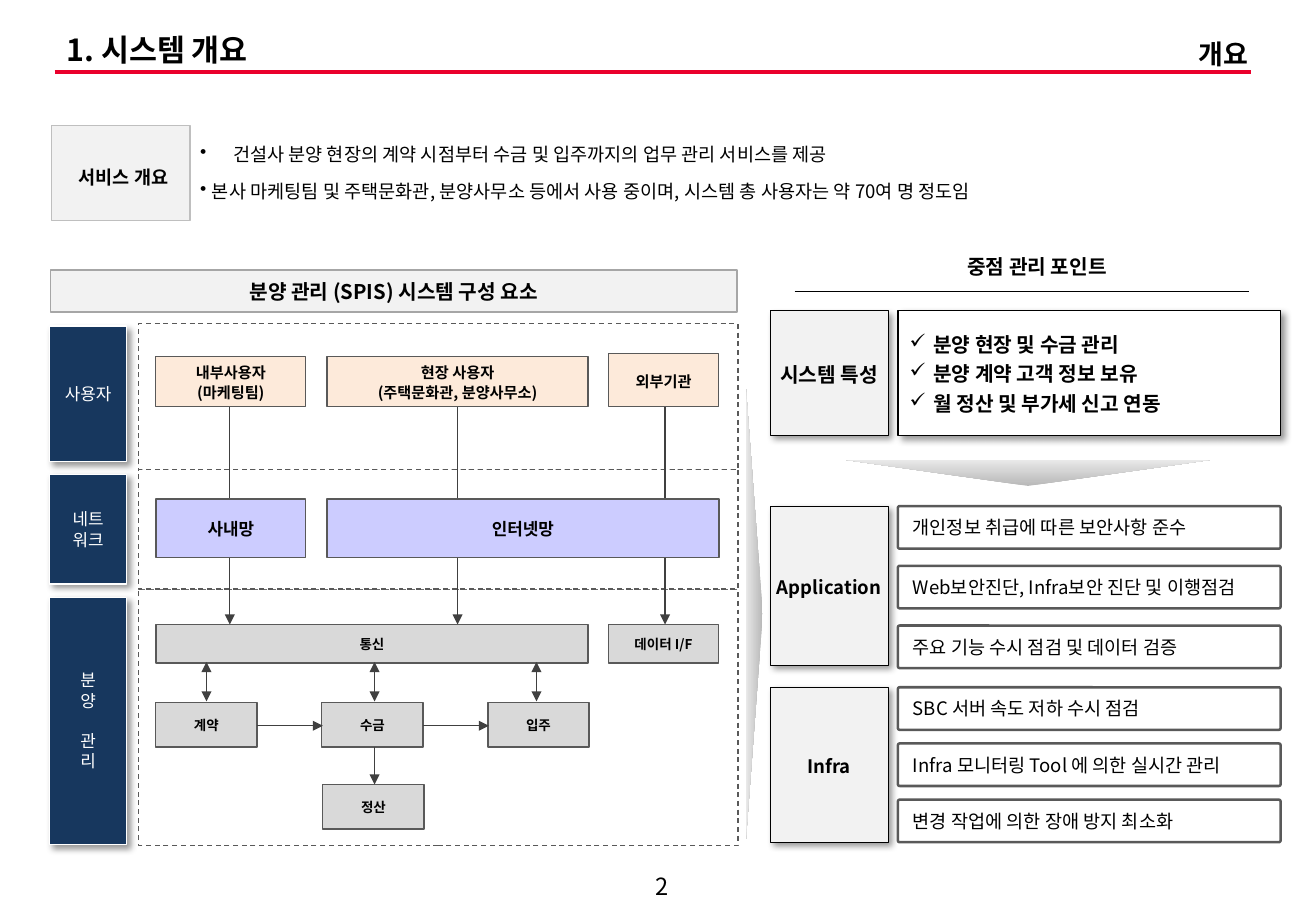
from lxml import etree
from pptx import Presentation
from pptx.dml.color import RGBColor
from pptx.enum.dml import MSO_LINE
from pptx.enum.shapes import MSO_CONNECTOR, MSO_SHAPE
from pptx.enum.text import MSO_ANCHOR, PP_ALIGN
from pptx.oxml.ns import qn
from pptx.util import Inches, Pt

RECTANGLE = MSO_SHAPE.RECTANGLE
ROUNDED = MSO_SHAPE.ROUNDED_RECTANGLE
TRIANGLE = MSO_SHAPE.ISOSCELES_TRIANGLE
STRAIGHT = MSO_CONNECTOR.STRAIGHT
DASH = MSO_LINE.DASH
MIDDLE, TOP = MSO_ANCHOR.MIDDLE, MSO_ANCHOR.TOP
LEFT, CENTER, RIGHT = PP_ALIGN.LEFT, PP_ALIGN.CENTER, PP_ALIGN.RIGHT

FONT = "Noto Sans CJK KR"
COLUMNS, ROWS = 130, 90
COLORS = {
    "black": "000000", "white": "FFFFFF", "red": "EA002C", "navy": "17375E",
    "panel": "F2F2F2", "panel_edge": "A6A6A6", "service_edge": "BFBFBF",
    "module": "D9D9D9", "user": "FDEADA", "network": "CCCCFF",
    "edge": "595959", "arrow": "404040", "fade_dark": "B8B8B8", "fade_light": "E9E9E9",
}


def color(name):
    return RGBColor.from_string(COLORS[name])


def write_text(shape, text, size=11, bold=False, ink="black", align=CENTER, anchor=MIDDLE,
               insets=(0, 4, 0, 4), wrap=True, spacing=None, after=0, gaps=None,
               bullet=None, indents=(0,)):
    """Fill a shape with one paragraph per line; gaps maps a line index to its space before."""
    frame = shape.text_frame
    frame.word_wrap = wrap
    frame.vertical_anchor = anchor
    frame.margin_left, frame.margin_top, frame.margin_right, frame.margin_bottom = map(Pt, insets)
    for index, line in enumerate(text.split("\n")):
        paragraph = frame.paragraphs[0] if index == 0 else frame.add_paragraph()
        if bullet:
            properties = paragraph._p.get_or_add_pPr()
            indent = Pt(indents[index % len(indents)])
            properties.set("marL", str(indent))
            properties.set("indent", str(-indent))
            etree.SubElement(properties, qn("a:buChar"), char=bullet)
        paragraph.alignment = align
        if spacing:
            paragraph.line_spacing = spacing[index % len(spacing)]
        if after:
            paragraph.space_after = Pt(after)
        if gaps and index in gaps:
            paragraph.space_before = Pt(gaps[index])
        run = paragraph.add_run()
        run.text = line
        run.font.size, run.font.bold, run.font.name = Pt(size), bold, FONT
        run.font.color.rgb = color(ink)
        etree.SubElement(run._r.get_or_add_rPr(), qn("a:ea"), typeface=FONT)


class SlideBuilder:
    """Places elements on a grid of COLUMNS by ROWS."""

    def __init__(self, presentation):
        self.column = presentation.slide_width / COLUMNS
        self.row = presentation.slide_height / ROWS
        self.slide = presentation.slides.add_slide(presentation.slide_layouts[6])

    def place(self, left, top, width, height):
        return (round(left * self.column), round(top * self.row),
                round(width * self.column), round(height * self.row))

    def text(self, area, text, **text_format):
        write_text(self.slide.shapes.add_textbox(*self.place(*area)), text, **text_format)

    def box(self, area, text="", kind=RECTANGLE, fill="white", edge="edge", weight=0.75,
            dash=None, shadow=False, **text_format):
        shape = self.slide.shapes.add_shape(kind, *self.place(*area))
        if kind == ROUNDED:
            shape.adjustments[0] = 0.04
        shape.fill.solid()
        shape.fill.fore_color.rgb = color(fill)
        if edge:
            shape.line.color.rgb = color(edge)
            shape.line.width = Pt(weight)
        else:
            shape.line.fill.background()
        if dash:
            shape.line.dash_style = dash
        shape.shadow.inherit = False
        if shadow:
            self.drop_shadow(shape)
        if text:
            write_text(shape, text, **text_format)

    def drop_shadow(self, shape):
        effects = shape.element.spPr.find(qn("a:effectLst"))
        outer = etree.SubElement(effects, qn("a:outerShdw"), blurRad=str(Pt(4)), dist=str(Pt(3)),
                                 dir="2700000", algn="tl", rotWithShape="0")
        tone = etree.SubElement(outer, qn("a:srgbClr"), val=COLORS["black"])
        etree.SubElement(tone, qn("a:alpha"), val="40000")

    def wedge(self, area, rotation):
        shape = self.slide.shapes.add_shape(TRIANGLE, *self.place(*area))
        shape.rotation = rotation
        shape.fill.gradient()
        shape.fill.gradient_angle = 270
        for stop, name in zip(shape.fill.gradient_stops, ("fade_dark", "fade_light")):
            stop.color.rgb = color(name)
        shape.line.fill.background()
        shape.shadow.inherit = False

    def line(self, start, end, ink="arrow", weight=0.75, arrows=()):
        connector = self.slide.shapes.add_connector(
            STRAIGHT, *self.place(*start, *end))
        connector.line.color.rgb = color(ink)
        connector.line.width = Pt(weight)
        properties = connector.element.spPr
        for arrow in arrows:
            etree.SubElement(properties.find(qn("a:ln")), qn(f"a:{arrow}"), type="triangle")
        etree.SubElement(properties, qn("a:effectLst"))


def add_header(builder):
    builder.line((5.4, 7.1), (123.6, 7.1), ink="red", weight=2.25)
    builder.text((5.4, 2.9, 96.4, 4.4), "1. 시스템 개요", size=18, bold=True, align=LEFT,
                 insets=(7, 4, 7, 4), spacing=(0.9,))
    builder.text((109.4, 3, 15.1, 4.4), "개요", size=16, bold=True, align=RIGHT,
                 anchor=TOP, insets=(7, 4, 7, 4))
    builder.text((61.2, 85.7, 8.5, 3.7), "2", size=14)


def add_service(builder):
    builder.box((5.1, 12.4, 13.7, 9.4), "서비스 개요", fill="panel", edge="service_edge", weight=1,
                bold=True, wrap=False, insets=(10, 4, 7, 4), spacing=(1.35,))
    builder.text((18.6, 13.2, 108.5, 7.4),
                 "건설사 분양 현장의 계약 시점부터 수금 및 입주까지의 업무 관리 서비스를 제공\n"
                 "본사 마케팅팀 및 주택문화관, 분양사무소 등에서 사용 중이며, "
                 "시스템 총 사용자는 약 70여 명 정도임",
                 align=LEFT, anchor=TOP, insets=(7, 4, 7, 4), after=3, bullet="•",
                 indents=(19.5, 7), spacing=(Pt(15), Pt(18.7)))


def add_diagram(builder):
    builder.box((5, 26.7, 67.8, 4.1), "분양 관리 (SPIS) 시스템 구성 요소", fill="panel",
                edge="panel_edge", weight=1, size=12, bold=True, wrap=False)
    for top, height in ((58.2, 25.3), (46.4, 11.8), (32, 14.4)):
        builder.box((13.7, top, 59.2, height), dash=DASH)
    for top, height, label in ((32.2, 13.4, "사용자"), (46.9, 10.8, "네트\n워크"),
                               (59, 24.4, "분\n양\n관\n리")):
        builder.box((4.9, top, 7.6, height), label, fill="navy", edge="white", shadow=True,
                    size=10, ink="white", insets=(3, 4, 3, 4), spacing=(Pt(12),), gaps={2: 12})

    inside, site, outside = 15.4, 32.3, 60.1
    for column in (22.7, 45.2, 65.7):
        builder.line((column, 40.2), (column, 61.7), arrows=("tailEnd",))
    for area, label in (((inside, 35.2, 14.8, 5), "내부사용자\n(마케팅팀)"),
                        ((site, 35.2, 25.8, 5), "현장 사용자\n(주택문화관, 분양사무소)"),
                        ((outside, 34.9, 10.9, 5.3), "외부기관")):
        builder.box(area, label, fill="user", size=9, bold=True, spacing=(Pt(12),))
    for left, width, label in ((inside, 14.8, "사내망"), (site, 38.7, "인터넷망")):
        builder.box((left, 49.3, width, 5.8), label, fill="network", weight=1, size=10, bold=True)

    for area, label in (((inside, 61.7, 42.7, 3.8), "통신"),
                        ((outside, 61.7, 10.9, 3.8), "데이터 I/F"),
                        ((inside, 69.4, 10, 4.4), "계약"),
                        ((31.8, 69.4, 10, 4.4), "수금"),
                        ((48.2, 69.4, 10, 4.4), "입주"),
                        ((31.9, 77.5, 10, 4.4), "정산")):
        builder.box(area, label, fill="module", size=8, bold=True)
    for column in (20.4, 37, 53):
        builder.line((column, 65.4), (column, 69.3), arrows=("headEnd", "tailEnd"))
    for left in (25.4, 41.8):
        builder.line((left, 71.7), (left + 6.5, 71.7), arrows=("tailEnd",))
    builder.line((37, 73.8), (37, 77.5), arrows=("tailEnd",))


def add_points(builder):
    builder.wedge((51.7, 59.8, 45.6, 1.7), 90)
    builder.wedge((83.3, 45.4, 36.5, 2.6), 180)
    builder.box((81.5, 23.8, 41.9, 5), "중점 관리 포인트", edge=None, size=12, bold=True)
    builder.line((78.5, 28.8), (123.4, 28.8), ink="black")
    for top, height, label, size in ((30.7, 12.3, "시스템 특성", 12), (50, 15.7, "Application", 11),
                                     (67.9, 15.3, "Infra", 11)):
        builder.box((76.1, top, 11.6, height), label, fill="panel", edge="black", weight=0.25,
                    shadow=True, size=size, bold=True, wrap=False, spacing=(1.1,))
    builder.box((88.7, 30.7, 37.8, 12.3),
                "분양 현장 및 수금 관리\n분양 계약 고객 정보 보유\n월 정산 및 부가세 신고 연동",
                edge="black", shadow=True, size=12, bold=True, align=LEFT, insets=(7, 4, 7, 6),
                bullet="✓", indents=(14,), spacing=(Pt(17.5),))
    duties = (
        (50, 5.9, ("개인정보 취급에 따른 보안사항 준수", "Web보안진단, Infra보안 진단 및 이행점검",
                   "주요 기능 수시 점검 및 데이터 검증")),
        (67.9, 5.55, ("SBC 서버 속도 저하 수시 점검", "Infra 모니터링 Tool 에 의한 실시간 관리",
                      "변경 작업에 의한 장애 방지 최소화")),
    )
    for top, pitch, labels in duties:
        for index, label in enumerate(labels):
            builder.box((88.7, top + index * pitch, 37.8, 4.2), label, kind=ROUNDED, weight=1.5,
                        align=LEFT, insets=(8.5, 3, 6, 3))


def main():
    presentation = Presentation()
    presentation.slide_width, presentation.slide_height = Inches(10.83), Inches(7.5)
    builder = SlideBuilder(presentation)
    add_header(builder)
    add_service(builder)
    add_diagram(builder)
    add_points(builder)
    presentation.save("out.pptx")


if __name__ == "__main__":
    main()
